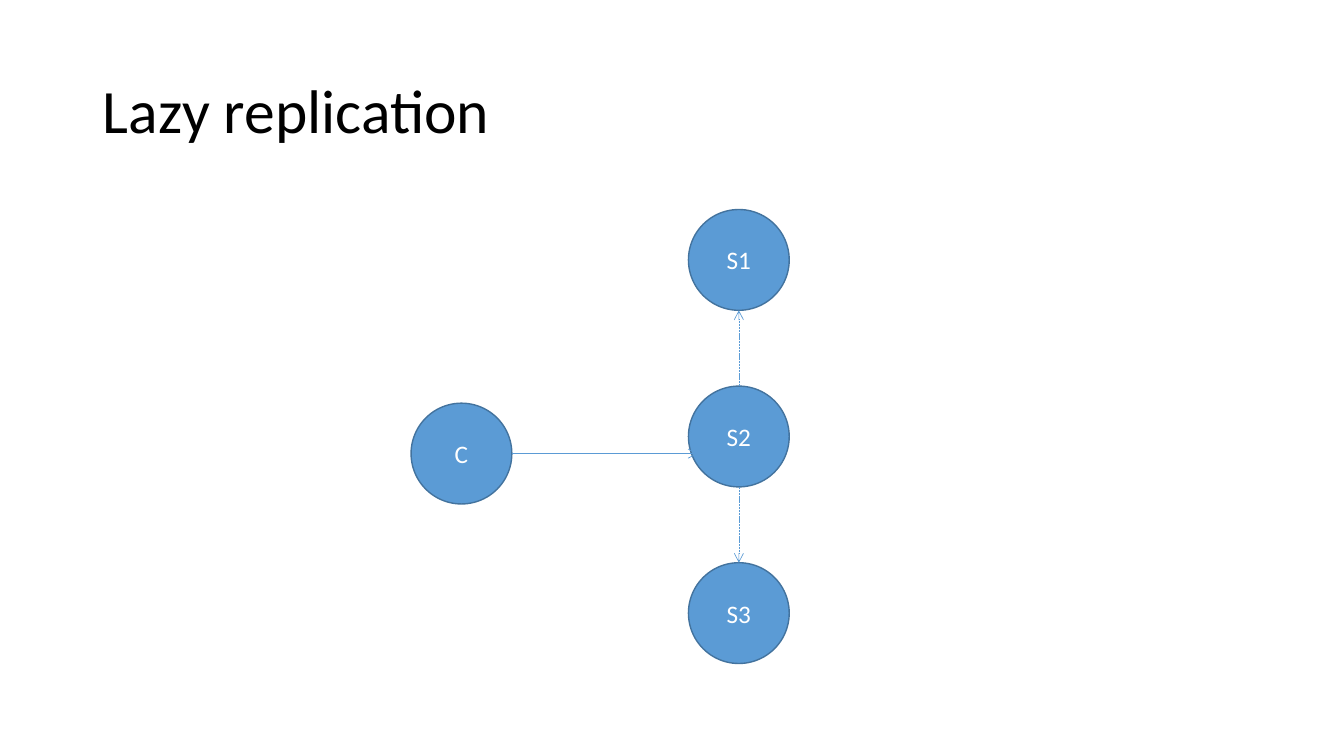
from dataclasses import dataclass

from lxml import etree
from pptx import Presentation
from pptx.dml.color import RGBColor
from pptx.enum import dml, shapes, text
from pptx.oxml import ns
from pptx.slide import Slide
from pptx.util import Cm, Pt

COLORS = {"node": "5B9BD5", "outline": "43739E", "label": "FFFFFF", "title": "000000"}
FONT = "Calibri"
DIAMETER = 2.54
SERVER_LEFT, SERVER_TOP, SERVER_STEP = 17.35, 5.28, 4.45


@dataclass
class Node:
    label: str
    left: float
    top: float

    @property
    def center_x(self) -> float:
        return self.left + DIAMETER / 2

    @property
    def center_y(self) -> float:
        return self.top + DIAMETER / 2

    @property
    def right(self) -> float:
        return self.left + DIAMETER

    @property
    def bottom(self) -> float:
        return self.top + DIAMETER


@dataclass
class Arrow:
    x1: float
    y1: float
    x2: float
    y2: float
    dashed: bool = False


def rgb(name: str) -> RGBColor:
    return RGBColor.from_string(COLORS[name])


def add_title(slide: Slide, title: str) -> None:
    sp = slide.shapes.title
    sp.left, sp.top, sp.width, sp.height = Cm(2.34), Cm(1.02), Cm(29.21), Cm(3.68)
    tf = sp.text_frame
    tf.text = title
    tf.vertical_anchor = text.MSO_ANCHOR.MIDDLE
    p = tf.paragraphs[0]
    p.alignment = text.PP_ALIGN.LEFT
    p.line_spacing = 0.9
    p.font.name, p.font.size = FONT, Pt(44)
    p.font.color.rgb = rgb("title")


def add_node(slide: Slide, node: Node) -> None:
    sp = slide.shapes.add_shape(
        shapes.MSO_SHAPE.OVAL, Cm(node.left), Cm(node.top), Cm(DIAMETER), Cm(DIAMETER)
    )
    sp.shadow.inherit = False
    sp.fill.solid()
    sp.fill.fore_color.rgb = rgb("node")
    sp.line.color.rgb = rgb("outline")
    sp.line.width = Pt(1)
    tf = sp.text_frame
    tf.text = node.label
    tf.vertical_anchor = text.MSO_ANCHOR.MIDDLE
    p = tf.paragraphs[0]
    p.alignment = text.PP_ALIGN.CENTER
    p.font.name, p.font.size = FONT, Pt(18)
    p.font.color.rgb = rgb("label")


def add_arrow(slide: Slide, arrow: Arrow) -> None:
    cxn = slide.shapes.add_connector(
        shapes.MSO_CONNECTOR.STRAIGHT,
        Cm(arrow.x1), Cm(arrow.y1), Cm(arrow.x2), Cm(arrow.y2),
    )
    cxn.line.color.rgb = rgb("node")
    cxn.line.width = Pt(0.5)
    if arrow.dashed:
        cxn.line.dash_style = dml.MSO_LINE.SQUARE_DOT
    ln = cxn.line._get_or_add_ln()
    etree.SubElement(ln, ns.qn("a:tailEnd"), type="arrow")
    etree.SubElement(cxn._element.spPr, ns.qn("a:effectLst"))


def main() -> None:
    prs = Presentation()
    prs.slide_width, prs.slide_height = Cm(33.87), Cm(19.05)
    slide = prs.slides.add_slide(prs.slide_layouts[5])
    add_title(slide, "Lazy replication")

    client = Node("C", 10.36, 10.16)
    s1, s2, s3 = (
        Node(f"S{i + 1}", SERVER_LEFT, SERVER_TOP + i * SERVER_STEP) for i in range(3)
    )
    for node in (client, s2, s3, s1):
        add_node(slide, node)

    arrows = (
        Arrow(client.right, client.center_y, 17.58, client.center_y),
        Arrow(s2.center_x, s2.top, s1.center_x, s1.bottom, dashed=True),
        Arrow(s2.center_x, s2.bottom, s3.center_x, s3.top, dashed=True),
    )
    for arrow in arrows:
        add_arrow(slide, arrow)

    prs.save("out.pptx")


if __name__ == "__main__":
    main()
